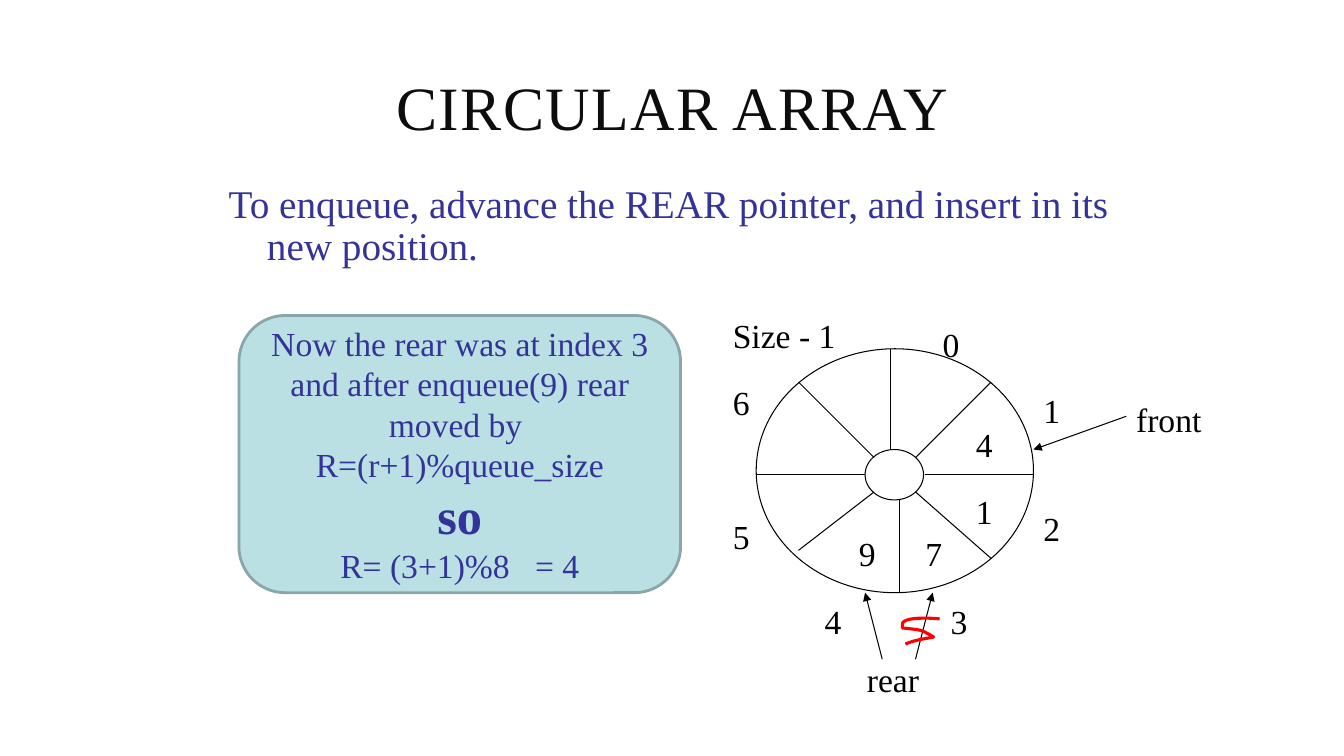
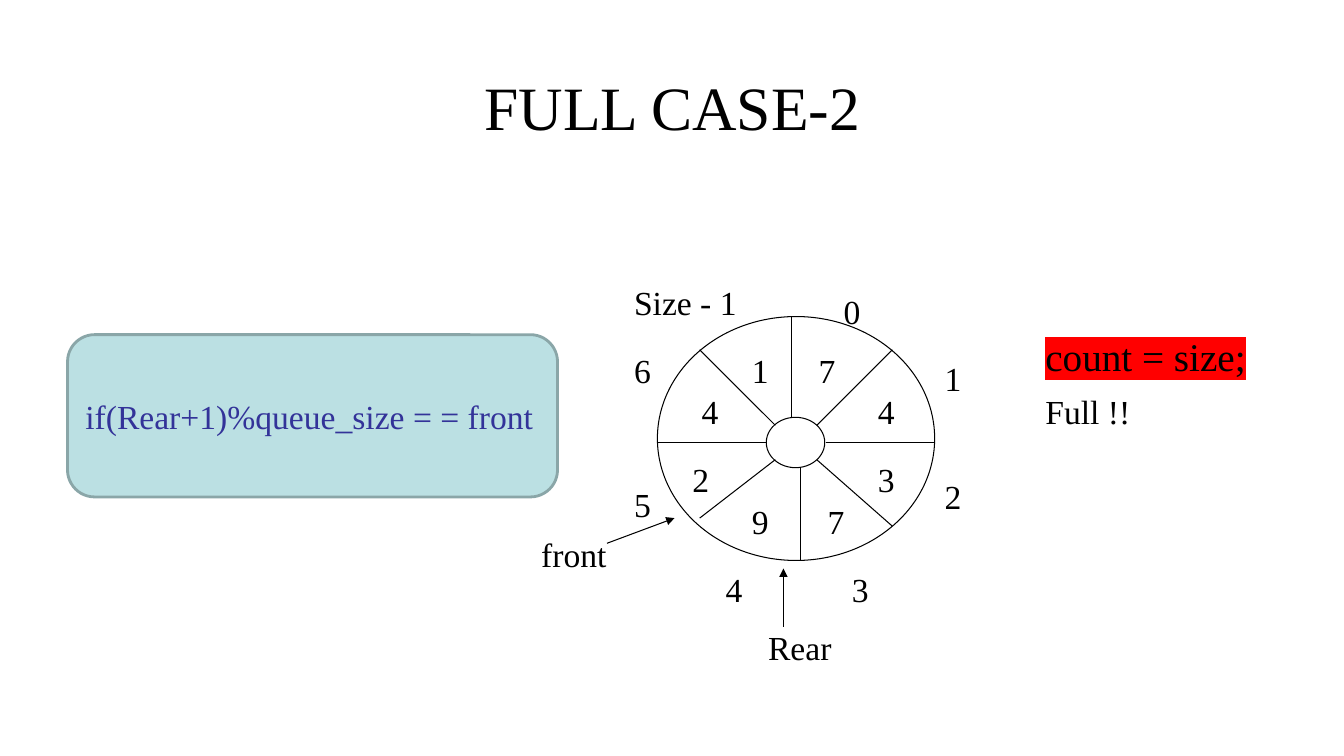
from lxml import etree
from pptx import Presentation
from pptx.dml.color import RGBColor
from pptx.enum.shapes import MSO_CONNECTOR, MSO_SHAPE
from pptx.enum.text import MSO_ANCHOR, PP_ALIGN
from pptx.oxml.ns import qn
from pptx.util import Pt

OVAL, ROUND = MSO_SHAPE.OVAL, MSO_SHAPE.ROUNDED_RECTANGLE
LINE = MSO_CONNECTOR.STRAIGHT
MID, TOP = MSO_ANCHOR.MIDDLE, MSO_ANCHOR.TOP
LEFT, MIDDLE = PP_ALIGN.LEFT, PP_ALIGN.CENTER

PX = 9144  # 100 px to the inch
HUE = {"ink": "000000", "title": "0D0D0D", "blue": "333399", "pale": "BBE0E3",
       "edge": "8AA6A8", "white": "FFFFFF", "red": "FF0000"}
FONT = {"name": "Times New Roman", "size": Pt(24), "bold": False}
FRAME = {"word_wrap": True, "vertical_anchor": TOP, "margin_top": 8 * PX}
CENTRED = {"vertical_anchor": MID, "margin_top": 5 * PX}
TITLE = (67, 42, 1200, 125)


def put(slide, box, paras=(), kind=None, fill="white", edge="ink", weight=0.75,
        hue="ink", align=LEFT, frame={}):
    """Add a text box, or a shape of the given kind; each para is a list of runs."""
    place = [v * PX for v in box]
    if kind is None:
        item = slide.shapes.add_textbox(*place)
    else:
        item = slide.shapes.add_shape(kind, *place)
        item.shadow.inherit = False
        item.fill.solid()
        item.fill.fore_color.rgb = RGBColor.from_string(HUE[fill])
        item.line.color.rgb = RGBColor.from_string(HUE[edge])
        item.line.width = Pt(weight)
    area = item.text_frame
    for key, val in {**FRAME, **frame}.items():
        setattr(area, key, val)
    for i, runs in enumerate(paras):
        para = area.add_paragraph() if i else area.paragraphs[0]
        para.alignment = align
        for words, style in runs:
            run = para.add_run()
            run.text = words
            style = {**FONT, **style}
            gap, mark = style.pop("gap", None), style.pop("mark", None)
            for key, val in style.items():
                setattr(run.font, key, val)
            run.font.color.rgb = RGBColor.from_string(HUE[hue])
            props = run.font._element
            if gap:
                props.set("spc", str(gap))
            if mark:
                light = etree.Element(qn("a:highlight"))
                etree.SubElement(light, qn("a:srgbClr"), val=HUE[mark])
                props.find(qn("a:solidFill")).addnext(light)
    return item


def link(slide, x, y, ends, arrow=False):
    """Draw a line whose ends are measured from the wheel's corner."""
    a, b, c, d = ends
    rod = slide.shapes.add_connector(LINE, (x + a) * PX, (y + b) * PX,
                                     (x + c) * PX, (y + d) * PX)
    rod.line.color.rgb = RGBColor.from_string(HUE["ink"])
    rod.line.width = Pt(0.75)
    if arrow:
        etree.SubElement(rod.line._get_or_add_ln(), qn("a:tailEnd"), type="triangle")
    etree.SubElement(rod._element.spPr, qn("a:effectLst"))


deck = Presentation()
deck.slide_width, deck.slide_height = 1333 * PX, 750 * PX
blank = deck.slide_layouts[6]

# Wheel parts, measured from its top left corner
SPOKES = [(0, 125, 108, 125), (167, 125, 275, 125), (133, 0, 133, 100),
          (142, 150, 142, 242), (158, 142, 233, 208), (42, 33, 117, 108),
          (158, 108, 233, 33), (42, 200, 117, 142)]
INDEX = [("0", 175, -33), ("1", 275, 33), ("2", 275, 150), ("3", 183, 242),
         ("4", 58, 242), ("5", -33, 158), ("6", -33, 25), ("Size - 1", -33, -42)]

# What differs from slide to slide
PAGES = [
    {"title": "CIRCULAR ARRAY", "hue": "title", "gap": 100, "at": (750, 346),
     "labels": [("4", 208, 67), ("1", 208, 133), ("7", 158, 175), ("9", 92, 175),
                ("front", 367, 42), ("rear", 100, 300)],
     "arrows": [(367, 67, 275, 100), (158, 308, 175, 242), (125, 308, 108, 242)],
     "card": (237, 313, 438, 275), "align": MIDDLE,
     "note": [[("Now the rear was at index 3 and after enqueue(9) rear moved by ", {})],
              [("R=(r+1)%queue_size", {})],
              [("so", {"size": Pt(36), "bold": True})],
              [("R= (3+1)%8", {}), (" ", {"gap": 1200}), ("= 4", {})]]},
    {"title": "FULL CASE-2", "hue": "ink", "gap": None, "at": (652, 314),
     "labels": [("4", 209, 66), ("3", 209, 133), ("7", 159, 175), ("9", 84, 175),
                ("2", 25, 133), ("4", 34, 66), ("1", 84, 25), ("7", 150, 25),
                ("front", -125, 208), ("Rear", 100, 300)],
     "arrows": [(-50, 225, 17, 200), (125, 308, 125, 250)],
     "card": (67, 332, 486, 161), "align": LEFT,
     "note": [[("if(Rear+1)%queue_size = = front", {})]]},
]

# Title, wheel and note card of each slide
slides = []
for page in PAGES:
    slide = deck.slides.add_slide(blank)
    slides.append(slide)
    put(slide, TITLE, [[(page["title"], {"size": Pt(44), "gap": page["gap"]})]],
        hue=page["hue"], align=MIDDLE, frame=CENTRED)
    x, y = page["at"]
    put(slide, (x, y, 275, 242), kind=OVAL)
    put(slide, (x + 108, y + 100, 58, 50), kind=OVAL)
    for ends in SPOKES:
        link(slide, x, y, ends)
    for words, dx, dy in INDEX + page["labels"]:
        wide = 33 if len(words) == 1 else 133
        put(slide, (x + dx, y + dy, wide, 50), [[(words, {})]])
    for ends in page["arrows"]:
        link(slide, x, y, ends, arrow=True)
    put(slide, page["card"], page["note"], kind=ROUND, fill="pale", edge="edge",
        weight=2, hue="blue", align=page["align"], frame=CENTRED)
first, last = slides

# Lead sentence with a hanging indent
lead = put(first, (217, 175, 900, 81),
           [[("To enqueue, advance the REAR pointer, and insert in its new position.",
              {"size": Pt(28)})]], hue="blue")
para = lead.text_frame.paragraphs[0]
para.line_spacing = 0.9
for key, val in {"marL": 38 * PX, "indent": -38 * PX}.items():
    para._p.get_or_add_pPr().set(key, str(val))

# Red pen stroke: cubic curves sampled as short segments
STROKE = [(898, 639), (907, 635), (916, 634), (926, 632), (913, 624), (913, 625),
          (895, 623), (895, 621), (895, 618), (896, 617), (903, 611), (932, 614),
          (932, 614)]
STEPS = 10
dots = []
for i in range(0, len(STROKE) - 1, 3):
    for n in range(1, STEPS + 1):
        t = n / STEPS
        parts = ((1 - t) ** 3, 3 * t * (1 - t) ** 2, 3 * t * t * (1 - t), t ** 3)
        dots.append([PX * sum(w * p[k] for w, p in zip(parts, STROKE[i:i + 4]))
                     for k in (0, 1)])
pen = first.shapes.build_freeform(STROKE[0][0] * PX, STROKE[0][1] * PX)
pen.add_line_segments(dots, close=False)
mark = pen.convert_to_shape()
mark.shadow.inherit = False
mark.fill.background()
mark.line.color.rgb = RGBColor.from_string(HUE["red"])
mark.line.width = Pt(2.25)

# Full condition
put(last, (1027, 322, 250, 57), [[("count = size;", {"size": Pt(28), "mark": "red"})]])
put(last, (1027, 380, 250, 50), [[("Full !!", {})]])

deck.save("out.pptx")
